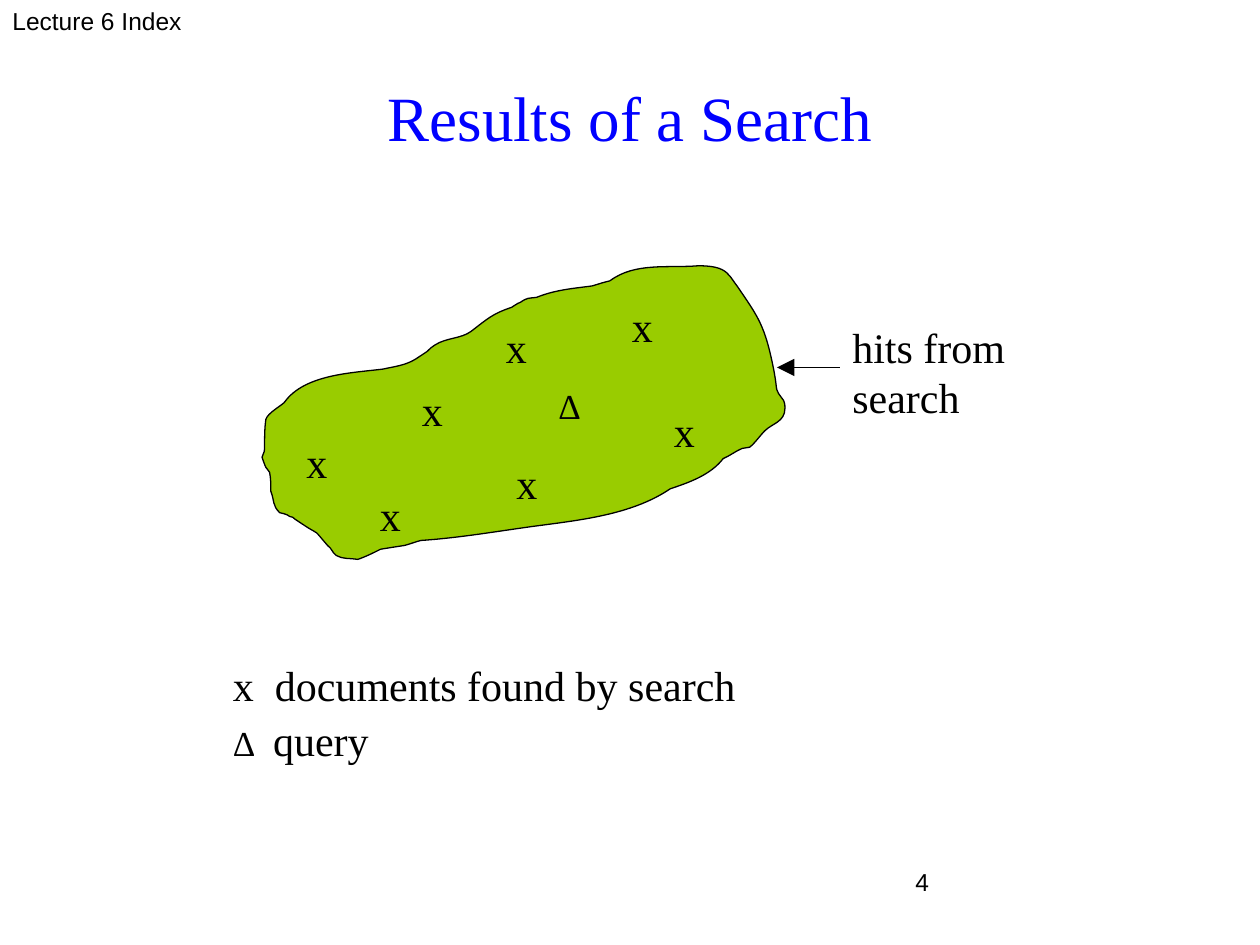
from lxml import etree
from pptx import Presentation
from pptx import util as u
from pptx.dml.color import RGBColor
from pptx.enum import shapes, text
from pptx.oxml import ns

Pt = u.Pt
SERIF = "Times New Roman"


def color(value):
    return RGBColor.from_string(value)


def add_text(left, top, width, height, lines, size=24, font=SERIF, ink="000000"):
    """Add a text box; each line is a list of (words, size or None) runs."""
    box = page.shapes.add_textbox(Pt(left), Pt(top), Pt(width), Pt(height))
    frame = box.text_frame
    frame.word_wrap = True
    for number, runs in enumerate(lines):
        para = frame.add_paragraph() if number else frame.paragraphs[0]
        for words, run_size in runs:
            span = para.add_run()
            span.text = words
            span.font.size = Pt(run_size or size)
            span.font.name = font
            span.font.color.rgb = color(ink)
    return box


deck = Presentation()
deck.slide_width, deck.slide_height = Pt(720), Pt(540)
page = deck.slides.add_slide(deck.slide_layouts[6])

# Header and page number
add_text(0, 0, 315, 37.5, [[("Lecture 6 Index", None)]], 14, "Arial")
add_text(516, 492, 168, 37.5, [[("4", None)]], 14, "Arial")

# Title
title = add_text(36, 21.6, 648, 90, [[("Results of a Search", None)]], 36, ink="0000FF")
title.text_frame.vertical_anchor = text.MSO_ANCHOR.MIDDLE
title.text_frame.paragraphs[0].alignment = text.PP_ALIGN.CENTER

# Region of hits: cubic curves as (control, control, end), in hundredths of an inch
start = (210, 356)
curves = [
    (210, 348, 210, 340, 211, 333), (212, 328, 225, 321, 226, 319),
    (242, 297, 280, 296, 304, 293), (313, 291, 322, 290, 330, 285),
    (333, 283, 336, 281, 339, 279), (341, 277, 343, 275, 345, 274),
    (354, 268, 366, 269, 374, 263), (387, 253, 391, 249, 406, 244),
    (408, 243, 410, 241, 413, 240), (419, 236, 419, 237, 426, 236),
    (441, 230, 455, 229, 470, 227), (480, 224, 476, 225, 484, 223),
    (504, 208, 530, 213, 554, 211), (558, 211, 567, 211, 573, 214),
    (579, 217, 581, 222, 585, 227), (602, 252, 607, 258, 614, 293),
    (618, 314, 614, 307, 622, 318), (623, 320, 623, 322, 623, 324),
    (623, 335, 613, 336, 607, 342), (603, 346, 599, 352, 595, 355),
    (593, 356, 591, 355, 589, 356), (584, 358, 579, 362, 574, 364),
    (564, 377, 547, 383, 532, 388), (501, 409, 459, 413, 422, 418),
    (393, 422, 364, 427, 334, 429), (330, 430, 325, 432, 321, 433),
    (314, 434, 302, 436, 302, 436), (296, 439, 290, 442, 284, 444),
    (278, 443, 272, 444, 267, 441), (263, 438, 264, 436, 260, 433),
    (248, 419, 254, 425, 243, 418), (240, 416, 237, 414, 234, 412),
    (233, 411, 232, 410, 230, 410), (228, 408, 222, 407, 222, 407),
    (216, 401, 218, 398, 215, 390), (215, 385, 215, 380, 214, 375),
    (214, 374, 212, 373, 211, 371), (210, 369, 208, 363, 208, 363),
    (210, 357, 210, 359, 210, 356),
]
builder = page.shapes.build_freeform(*start, scale=Pt(0.72))
for curve in curves:
    builder.add_line_segments(list(zip(curve[::2], curve[1::2])), close=False)
region = builder.convert_to_shape()

# Turn every three straight segments into one cubic curve, then close the outline
segments = list(region._element.iter(ns.qn("a:lnTo")))
outline = segments[0].getparent()
for first in range(0, len(segments), 3):
    cubic = etree.SubElement(outline, ns.qn("a:cubicBezTo"))
    for segment in segments[first:first + 3]:
        cubic.append(segment[0])
        outline.remove(segment)
etree.SubElement(outline, ns.qn("a:close"))

region.shadow.inherit = False
region.fill.solid()
region.fill.fore_color.rgb = color("99CC00")
region.line.color.rgb = color("000000")
region.line.width = Pt(0.75)

# Documents and query inside the region
documents = [(282, 180, 24), (354, 168, 24), (378, 228, 24), (168, 246, 24),
             (210, 276, 48), (288, 258, 48), (234, 216, 48)]
for left, top, width in documents:
    add_text(left, top, width, 36, [[("x", None)]])
add_text(312, 216, 36, 31, [[("Δ", None)]], 20)

# Callout with arrow
add_text(480, 180, 138, 65, [[("hits from search", None)]])
arrow = page.shapes.add_connector(shapes.MSO_CONNECTOR.STRAIGHT,
                                  Pt(480), Pt(210), Pt(444), Pt(210))
arrow.line.color.rgb = color("000000")
arrow.line.width = Pt(0.75)
etree.SubElement(arrow.line._get_or_add_ln(), ns.qn("a:tailEnd"),
                 type="triangle", w="lg", len="lg")
etree.SubElement(arrow._element.spPr, ns.qn("a:effectLst"))

# Legend: symbol, then its meaning at a tab stop
legend = add_text(126, 373.5, 396, 72, [
    [("x", None), ("\tdocuments found by search", None)],
    [("Δ", 20), ("\tquery", None)],
])
for para, indent in zip(legend.text_frame.paragraphs, (24, 23)):
    props = para._p.get_or_add_pPr()
    props.set("marL", str(Pt(indent)))
    props.set("indent", str(-Pt(indent)))
    tabs = etree.SubElement(props, ns.qn("a:tabLst"))
    etree.SubElement(tabs, ns.qn("a:tab"), pos=str(Pt(indent)), algn="l")
legend.text_frame.paragraphs[1].space_before = Pt(2.4)

deck.save("out.pptx")
